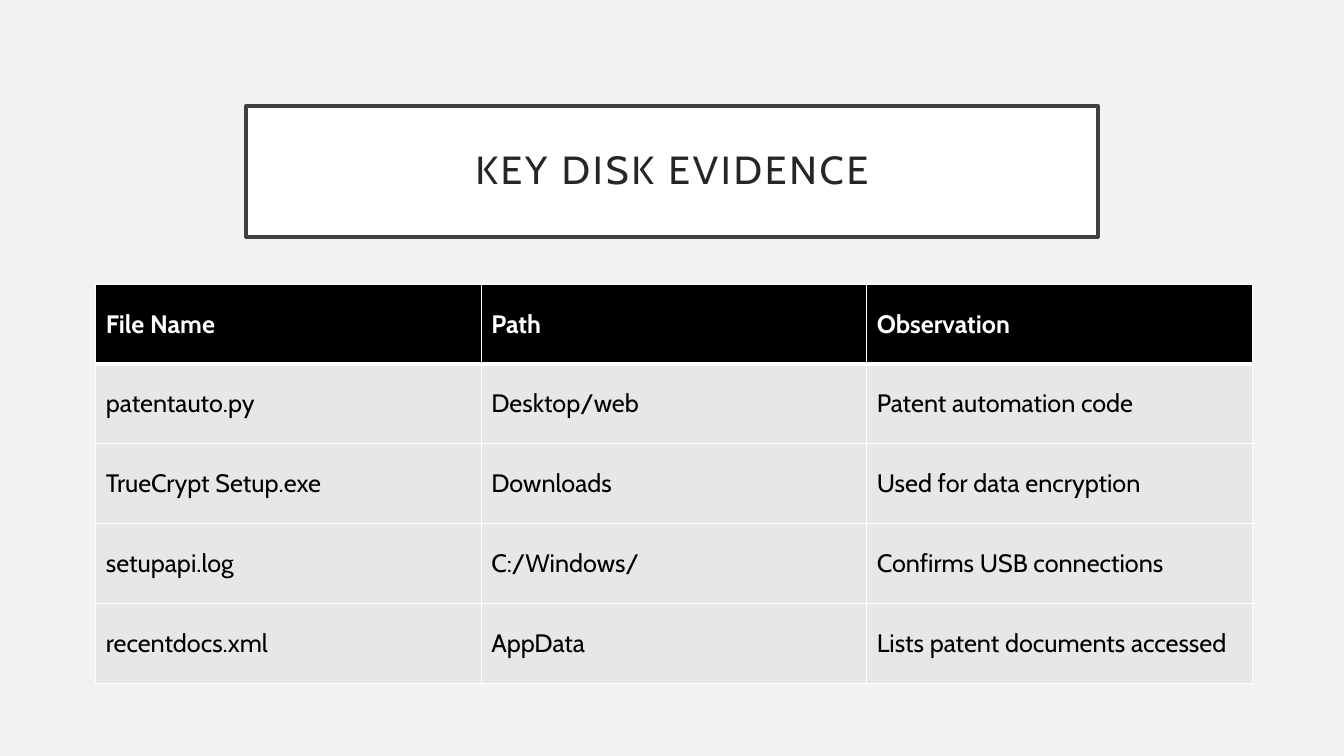
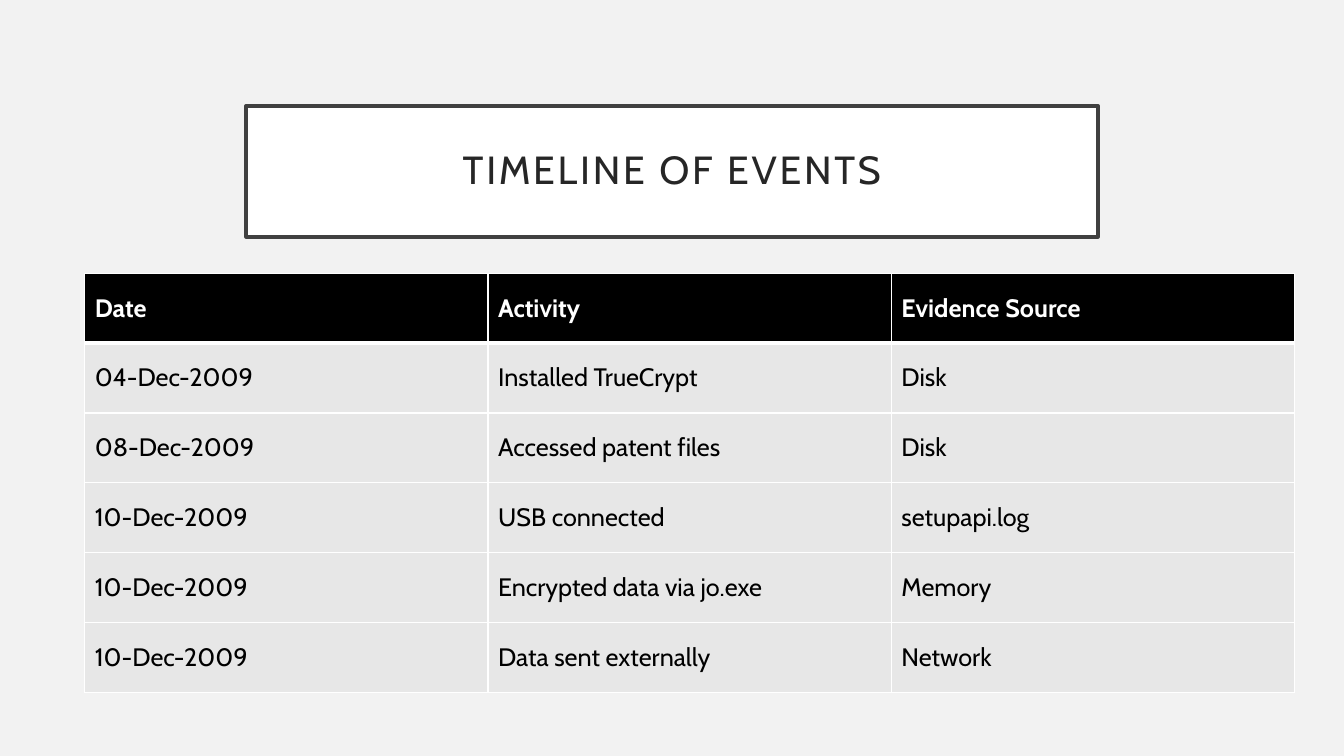
from lxml import etree
from pptx import Presentation
from pptx.dml.color import RGBColor
from pptx.enum.shapes import MSO_SHAPE
from pptx.enum.text import MSO_ANCHOR, PP_ALIGN
from pptx.oxml.ns import qn
from pptx.util import Inches, Pt

RECTANGLE = MSO_SHAPE.RECTANGLE
MIDDLE = MSO_ANCHOR.MIDDLE
CENTER = PP_ALIGN.CENTER

# Shared look
FONT = "Cabin"
PAGE_COLOR = "F2F2F2"
WHITE = "FFFFFF"
BLACK = "000000"
ROW_COLOR = "E7E7E7"
FRAME_COLOR = "404040"
TITLE_COLOR = "262626"
TITLE_BOX = (2.44, 1.05, 8.45, 1.3)

EVIDENCE_ROWS = [
    ("File Name", "Path", "Observation"),
    ("patentauto.py", "Desktop/web", "Patent automation code"),
    ("TrueCrypt Setup.exe", "Downloads", "Used for data encryption"),
    ("setupapi.log", "C:/Windows/", "Confirms USB connections"),
    ("recentdocs.xml", "AppData", "Lists patent documents accessed"),
]
TIMELINE_ROWS = [
    ("Date", "Activity", "Evidence Source"),
    ("04-Dec-2009", "Installed TrueCrypt", "Disk"),
    ("08-Dec-2009", "Accessed patent files", "Disk"),
    ("10-Dec-2009", "USB connected", "setupapi.log"),
    ("10-Dec-2009", "Encrypted data via jo.exe", "Memory"),
    ("10-Dec-2009", "Data sent externally", "Network"),
]
# Title, table box (left, top, width, height), table rows
PAGES = [
    ("KEY DISK EVIDENCE", (0.95, 2.82, 11.47, 3.96), EVIDENCE_ROWS),
    ("TIMELINE OF EVENTS", (0.84, 2.71, 12, 4.16), TIMELINE_ROWS),
]


def paint(fill, color):
    fill.solid()
    fill.fore_color.rgb = RGBColor.from_string(color)


def set_font(font, size, color, bold=False):
    font.name = FONT
    font.size = Pt(size)
    font.bold = bold
    font.color.rgb = RGBColor.from_string(color)


def add_title(page, text, box):
    frame = page.shapes.add_shape(RECTANGLE, *map(Inches, box))
    frame.shadow.inherit = False
    paint(frame.fill, WHITE)
    paint(frame.line.fill, FRAME_COLOR)
    frame.line.width = Pt(2.5)

    body = frame.text_frame
    body.word_wrap = True
    body.vertical_anchor = MIDDLE
    body.margin_left = body.margin_right = Inches(0.2)
    body.margin_top = body.margin_bottom = Inches(0.2)
    para = body.paragraphs[0]
    para.alignment = CENTER
    para.line_spacing = 0.9
    set_font(para.font, 28, TITLE_COLOR)
    span = para.add_run()
    span.text = text
    span.font._element.set("spc", "200")  # letter spacing of 2 points


def add_borders(cell, top, bottom):
    """Draw white cell edges; call before the cell is filled."""
    properties = cell._tc.get_or_add_tcPr()
    for edge, width in (("lnL", 1), ("lnR", 1), ("lnT", top), ("lnB", bottom)):
        line = etree.SubElement(properties, qn(f"a:{edge}"), w=str(Pt(width)))
        fill = etree.SubElement(line, qn("a:solidFill"))
        etree.SubElement(fill, qn("a:srgbClr"), val=WHITE)


def add_grid(page, rows, box):
    left, top, width, height = map(Inches, box)
    columns = len(rows[0])
    table = page.shapes.add_table(len(rows), columns, left, top, width, height).table
    for column in table.columns:
        column.width = width // columns
    for row_index, texts in enumerate(rows):
        table.rows[row_index].height = height // len(rows)
        header = row_index == 0
        for column_index, text in enumerate(texts):
            cell = table.cell(row_index, column_index)
            # The rule under the header is heavier
            add_borders(cell, 3 if row_index == 1 else 1, 3 if header else 1)
            paint(cell.fill, BLACK if header else ROW_COLOR)
            cell.vertical_anchor = MIDDLE
            para = cell.text_frame.paragraphs[0]
            para.text = text
            set_font(para.font, 18, WHITE if header else BLACK, header)


def main():
    deck = Presentation()
    deck.slide_width, deck.slide_height = Inches(13.33), Inches(7.5)
    paint(deck.slide_master.background.fill, PAGE_COLOR)
    blank = deck.slide_layouts[6]
    for title, table_box, rows in PAGES:
        page = deck.slides.add_slide(blank)
        add_title(page, title, TITLE_BOX)
        add_grid(page, rows, table_box)
    deck.save("out.pptx")


if __name__ == "__main__":
    main()
